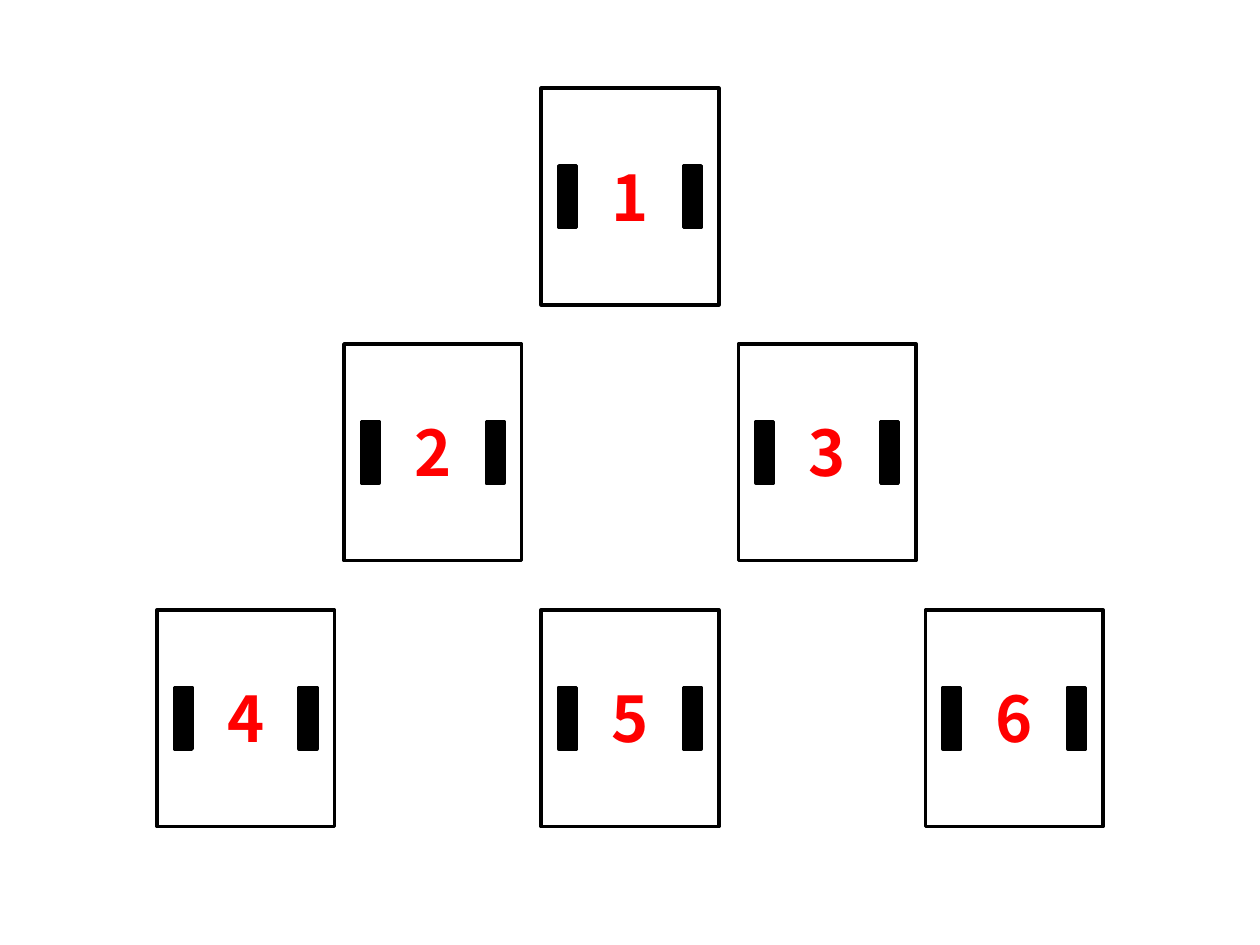
from pptx import Presentation
from pptx.dml.color import RGBColor
from pptx.enum.shapes import MSO_SHAPE
from pptx.enum.text import MSO_AUTO_SIZE, PP_ALIGN
from pptx.util import Inches, Pt

RECTANGLE = MSO_SHAPE.RECTANGLE
FIT_TEXT = MSO_AUTO_SIZE.SHAPE_TO_FIT_TEXT
CENTER = PP_ALIGN.CENTER
BLACK = RGBColor(0x00, 0x00, 0x00)
RED = RGBColor(0xFF, 0x00, 0x00)

# Each row: top of the cards, distance between card centres, numbers
ROWS = [
    (0.7, 0, ["1"]),
    (2.73, 3.13, ["2", "3"]),
    (4.84, 3.05, ["4", "5", "6"]),
]
NUMBER_FORMAT = {"name": "Noto Sans CJK KR", "size": Pt(36), "bold": True}

SLIDE_W, SLIDE_H = 10, 7.5
CARD_W, CARD_H = 1.41, 1.72
BAR_W, BAR_H = 0.14, 0.49
BAR_INSET = 0.14
NUMBER_W, NUMBER_H = 0.84, 0.71


def centered_box(center_x, center_y, width, height):
    return [Inches(v) for v in
            (center_x - width / 2, center_y - height / 2, width, height)]


def add_rectangle(shapes, box, filled):
    rectangle = shapes.add_shape(RECTANGLE, *box)
    rectangle.shadow.inherit = False
    rectangle.line.color.rgb = BLACK
    rectangle.line.width = Pt(2)
    if filled:
        rectangle.fill.solid()
        rectangle.fill.fore_color.rgb = BLACK
    else:
        rectangle.fill.background()


def add_card(slide, center_x, center_y):
    """Group an outlined card with a black bar near each side."""
    card = slide.shapes.add_group_shape().shapes
    add_rectangle(card, centered_box(center_x, center_y, CARD_W, CARD_H), False)
    bar_offset = CARD_W / 2 - BAR_INSET - BAR_W / 2
    for side in (-1, 1):
        bar_box = centered_box(center_x + side * bar_offset, center_y, BAR_W, BAR_H)
        add_rectangle(card, bar_box, True)


def add_number(slide, center_x, center_y, number):
    label = slide.shapes.add_textbox(
        *centered_box(center_x, center_y, NUMBER_W, NUMBER_H))
    frame = label.text_frame
    frame.word_wrap = True
    frame.auto_size = FIT_TEXT
    paragraph = frame.paragraphs[0]
    paragraph.alignment = CENTER
    run = paragraph.add_run()
    run.text = number
    for attribute, value in NUMBER_FORMAT.items():
        setattr(run.font, attribute, value)
    run.font.color.rgb = RED


def main():
    presentation = Presentation()
    presentation.slide_width = Inches(SLIDE_W)
    presentation.slide_height = Inches(SLIDE_H)
    slide = presentation.slides.add_slide(presentation.slide_layouts[6])

    places = [
        (SLIDE_W / 2 + (column - (len(numbers) - 1) / 2) * pitch,
         top + CARD_H / 2, number)
        for top, pitch, numbers in ROWS
        for column, number in enumerate(numbers)
    ]
    for center_x, center_y, _ in places:
        add_card(slide, center_x, center_y)
    for center_x, center_y, number in places:
        add_number(slide, center_x, center_y, number)

    presentation.save("out.pptx")


if __name__ == "__main__":
    main()
